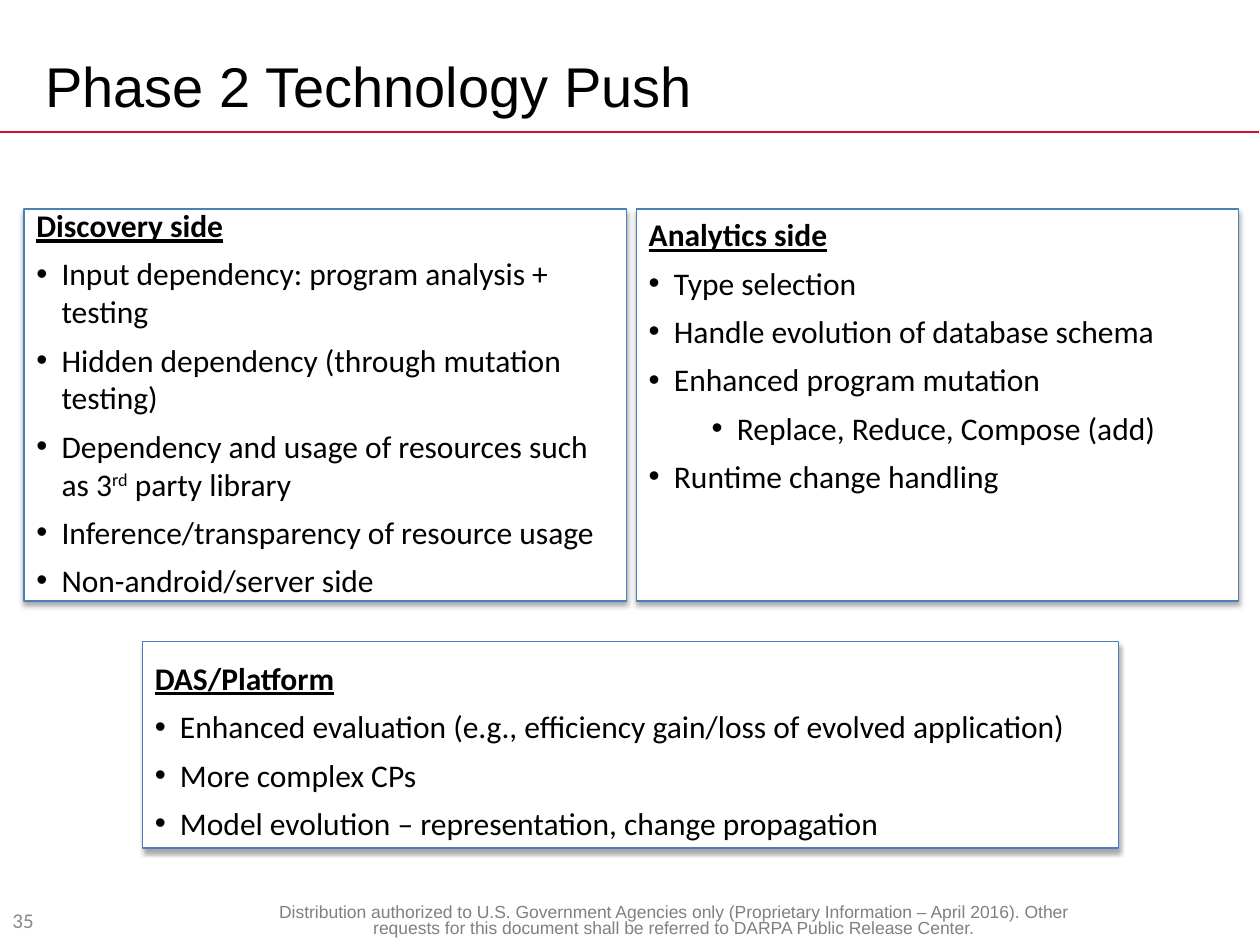
import dataclasses

import pptx
import pptx.dml.color
import pptx.enum.shapes
import pptx.enum.text
import pptx.oxml
import pptx.oxml.ns
import pptx.util

Inches = pptx.util.Inches
Pt = pptx.util.Pt
ALIGN = pptx.enum.text.PP_ALIGN
ANCHOR = pptx.enum.text.MSO_ANCHOR
NAMESPACE = pptx.oxml.ns.nsdecls("a")


@dataclasses.dataclass(frozen=True)
class Theme:
    heading_font: str = "Arial"
    body_font: str = "Calibri"
    text: str = "000000"
    footer: str = "808080"
    number: str = "898989"
    rule: str = "CE1126"
    border: str = "4B7EBC"
    paper: str = "FFFFFF"
    title_size: int = 32
    body_size: int = 18
    number_size: int = 12
    footer_size: int = 10


THEME = Theme()

# Each panel item is (level, spans); each span is (wording, superscript)
DISCOVERY = [
    (0, [("Input dependency: program analysis + testing", False)]),
    (0, [("Hidden dependency (through mutation testing)", False)]),
    (0, [("Dependency and usage of resources such as 3", False),
         ("rd", True), (" party library", False)]),
    (0, [("Inference/transparency of resource usage", False)]),
    (0, [("Non-android/server side", False)]),
]
ANALYTICS = [
    (0, [("Type selection", False)]),
    (0, [("Handle evolution of database schema", False)]),
    (0, [("Enhanced program mutation", False)]),
    (1, [("Replace, Reduce, Compose (add)", False)]),
    (0, [("Runtime change handling", False)]),
]
PLATFORM = [
    (0, [("Enhanced evaluation (e.g., efficiency gain/loss of evolved application)", False)]),
    (0, [("More complex CPs", False)]),
    (0, [("Model evolution – representation, change propagation", False)]),
]
FOOTER = ("Distribution authorized to U.S. Government Agencies only (Proprietary "
          "Information – April 2016). Other requests for this document shall be "
          "referred to DARPA Public Release Center.")


def color(value):
    return pptx.dml.color.RGBColor.from_string(value)


def apply(target, values):
    for name, value in values.items():
        setattr(target, name, value)


def add_span(para, wording, font, size, fill, **extra):
    span = para.add_run()
    span.text = wording
    apply(span.font, {"name": font, "size": Pt(size), **extra})
    span.font.color.rgb = color(fill)
    return span


def add_bullet(para, level):
    """Hang a bullet at the indent of the given level."""
    props = para._p.get_or_add_pPr()
    props.set("marL", str(Inches(0.2 + 0.5 * level)))
    props.set("indent", str(Inches(-0.2)))
    para.level = level
    for tag in ('<a:buFont {} typeface="Arial"/>', '<a:buChar {} char="•"/>'):
        props.append(pptx.oxml.parse_xml(tag.format(NAMESPACE)))


def add_header(page, left, top, width, height):
    """Title with a rule along its lower edge."""
    title = page.shapes.title
    apply(title, {"left": left, "top": top, "width": width, "height": height})
    frame = title.text_frame
    apply(frame, {"word_wrap": True, "vertical_anchor": ANCHOR.MIDDLE,
                  "auto_size": pptx.enum.text.MSO_AUTO_SIZE.NONE})
    para = frame.paragraphs[0]
    para.alignment = ALIGN.LEFT
    add_span(para, "Phase 2 Technology Push", THEME.heading_font,
             THEME.title_size, THEME.text)

    rule_top = top + height
    rule = page.shapes.add_connector(pptx.enum.shapes.MSO_CONNECTOR.STRAIGHT,
                                     0, rule_top, Inches(9.99), rule_top)
    rule.line.color.rgb = color(THEME.rule)
    rule.line.width = Pt(1)
    rule._element.spPr.append(pptx.oxml.parse_xml(f"<a:effectLst {NAMESPACE}/>"))


def add_panel(page, left, top, width, height, heading, items, **frame_format):
    """Bordered box with an underlined heading above a bullet list."""
    panel = page.shapes.add_shape(pptx.enum.shapes.MSO_SHAPE.RECTANGLE,
                                  left, top, width, height)
    panel.fill.solid()
    panel.fill.fore_color.rgb = color(THEME.paper)
    panel.line.color.rgb = color(THEME.border)
    panel.line.width = Pt(0.75)

    # Soft shadow below the box
    panel.shadow.inherit = False
    effects = panel._element.spPr.find(pptx.oxml.ns.qn("a:effectLst"))
    effects.append(pptx.oxml.parse_xml(
        f'<a:outerShdw {NAMESPACE} blurRad="{Pt(3.1)}" dist="{Pt(1.8)}" '
        'dir="5400000" rotWithShape="0"><a:srgbClr val="000000">'
        '<a:alpha val="35000"/></a:srgbClr></a:outerShdw>'))

    frame = panel.text_frame
    apply(frame, {"word_wrap": True, **frame_format})
    para = frame.paragraphs[0]
    para.alignment = ALIGN.LEFT
    add_span(para, heading, THEME.body_font, THEME.body_size, THEME.text,
             bold=True, underline=True)
    for level, spans in items:
        para = frame.add_paragraph()
        add_bullet(para, level)
        apply(para, {"alignment": ALIGN.LEFT, "space_before": Pt(6)})
        for wording, superscript in spans:
            span = add_span(para, wording, THEME.body_font, THEME.body_size, THEME.text)
            if superscript:
                span.font._element.set("baseline", "30000")


def add_note(page, left, top, width, height, wording, font, size, fill,
             anchor, **para_format):
    """Small text at the foot of the page."""
    box = page.shapes.add_textbox(left, top, width, height)
    apply(box.text_frame, {"word_wrap": True, "vertical_anchor": anchor})
    para = box.text_frame.paragraphs[0]
    apply(para, para_format)
    add_span(para, wording, font, size, fill)


def main():
    deck = pptx.Presentation()
    apply(deck, {"slide_width": Inches(10), "slide_height": Inches(7.5)})
    page = deck.slides.add_slide(deck.slide_layouts.get_by_name("Title Only"))

    add_header(page, Inches(0.26), Inches(0.3), Inches(9), Inches(0.75))

    # Two equal panels above one wide panel
    row_top, panel_width, panel_height = Inches(1.66), Inches(4.78), Inches(3.11)
    add_panel(page, Inches(0.19), row_top, panel_width, panel_height,
              "Discovery side", DISCOVERY, vertical_anchor=ANCHOR.MIDDLE,
              margin_top=Inches(0.04), margin_bottom=Inches(0.08))
    add_panel(page, Inches(5.05), row_top, panel_width, panel_height,
              "Analytics side", ANALYTICS, vertical_anchor=ANCHOR.TOP)
    add_panel(page, Inches(1.13), Inches(5.09), Inches(7.75), Inches(1.64),
              "DAS/Platform", PLATFORM, vertical_anchor=ANCHOR.BOTTOM)

    # Page number and distribution notice
    add_note(page, 0, Inches(7.1), Inches(1.39), Inches(0.4), "35",
             THEME.body_font, THEME.number_size, THEME.number, ANCHOR.MIDDLE,
             alignment=ALIGN.LEFT)
    add_note(page, Inches(2.11), Inches(7.13), Inches(6.47), Inches(0.31), FOOTER,
             THEME.heading_font, THEME.footer_size, THEME.footer, ANCHOR.TOP,
             alignment=ALIGN.CENTER, line_spacing=0.8)

    deck.save("out.pptx")


if __name__ == "__main__":
    main()
